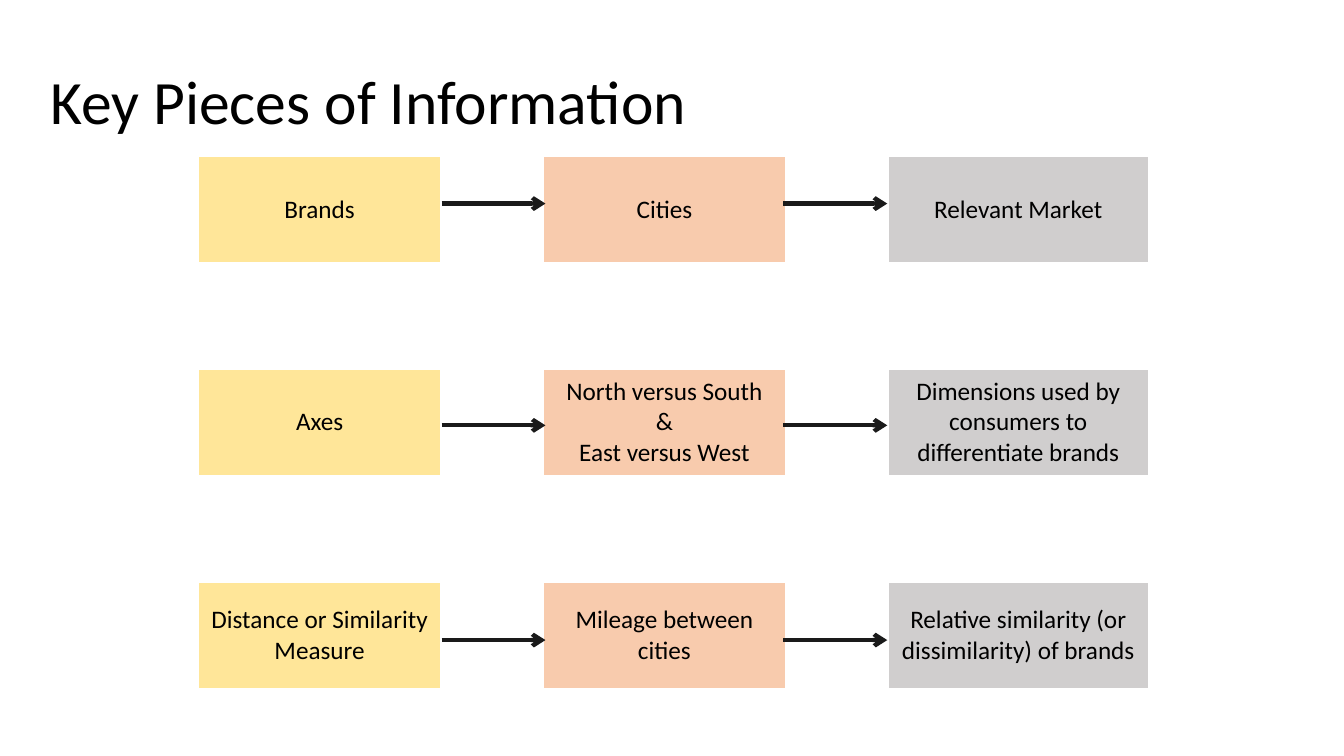
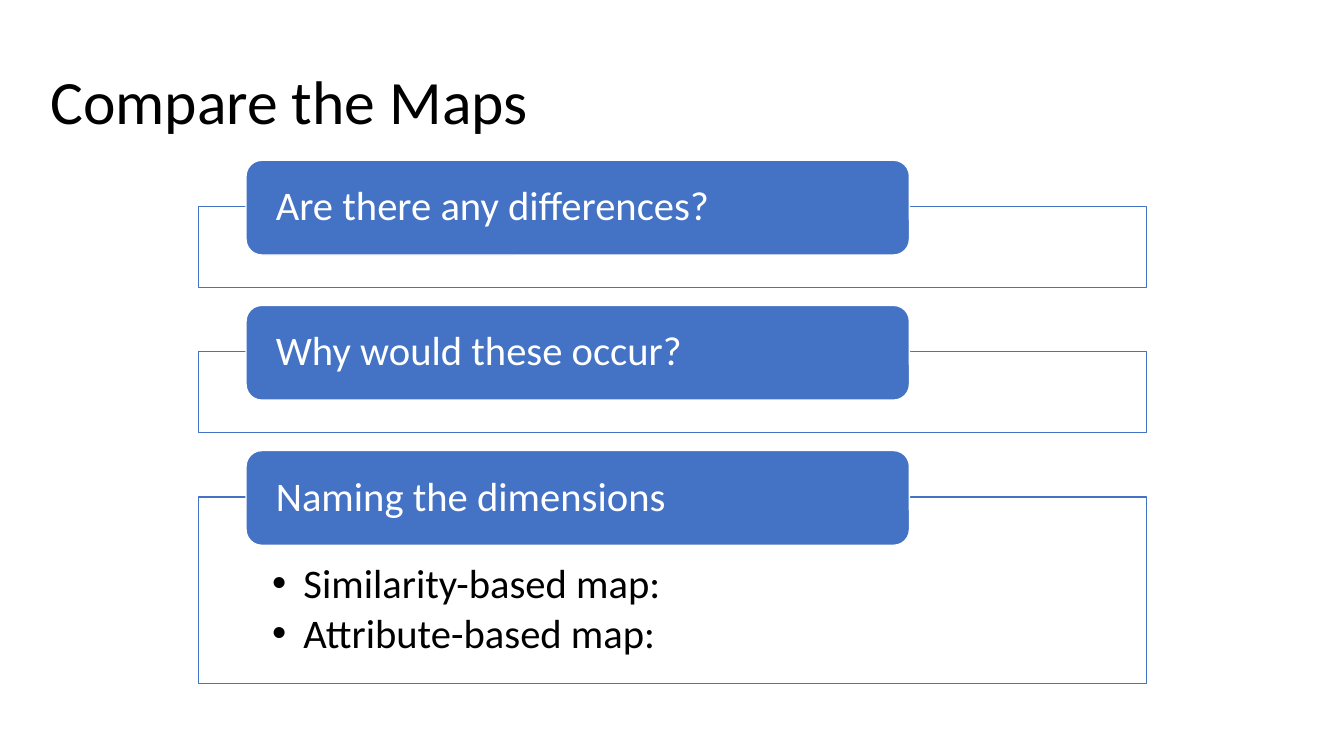
"""Build two slides: a table of key information and a list of map questions."""
from dataclasses import dataclass

from lxml import etree
from pptx import Presentation
from pptx.dml.color import RGBColor
from pptx.enum.shapes import MSO_CONNECTOR, MSO_SHAPE
from pptx.enum.text import MSO_ANCHOR, PP_ALIGN
from pptx.oxml.ns import qn
from pptx.util import Emu, Pt

EMU_PER_PX = 9144
TITLE_ONLY = 5
LEFT, CENTER = PP_ALIGN.LEFT, PP_ALIGN.CENTER
TOP, MIDDLE, BOTTOM = MSO_ANCHOR.TOP, MSO_ANCHOR.MIDDLE, MSO_ANCHOR.BOTTOM
RECT, ROUNDED = MSO_SHAPE.RECTANGLE, MSO_SHAPE.ROUNDED_RECTANGLE
STRAIGHT = MSO_CONNECTOR.STRAIGHT


@dataclass(frozen=True)
class Theme:
    """Colours, font and type sizes of the deck."""
    font: str = "Calibri"
    text: str = "000000"
    white: str = "FFFFFF"
    blue: str = "4472C4"
    arrow: str = "1A1A1A"
    columns: tuple = ("FFE699", "F8CBAD", "D0CECE")
    title_size: int = 44
    list_size: int = 29
    cell_size: int = 18


THEME = Theme()

INFORMATION = (
    ("Brands", "Cities", "Relevant Market"),
    ("Axes", "North versus South\v&\nEast versus West",
     "Dimensions used by consumers to differentiate brands"),
    ("Distance or Similarity Measure", "Mileage between cities",
     "Relative similarity (or dissimilarity) of brands"),
)
QUESTIONS = (
    ("Are there any differences?", 80, ()),
    ("Why would these occur?", 80, ()),
    ("Naming the dimensions", 185,
     ("Similarity-based map:", "Attribute-based map:")),
)


def px(*values):
    """Turn px lengths into a list of EMU lengths."""
    return [Emu(v * EMU_PER_PX) for v in values]


def rgb(value):
    """Turn a hex string into a colour."""
    return RGBColor.from_string(value)


def format_text(tf, size, color, align=LEFT, spacing=1.0):
    """Format every paragraph and run of a text frame."""
    for p in tf.paragraphs:
        p.alignment = align
        p.line_spacing = spacing
        for r in p.runs:
            r.font.name = THEME.font
            r.font.size = Pt(size)
            r.font.color.rgb = rgb(color)


def add_slide(prs, title):
    """Add a title-only slide with the shared title style."""
    slide = prs.slides.add_slide(prs.slide_layouts[TITLE_ONLY])
    sp = slide.shapes.title
    sp.left, sp.top, sp.width, sp.height = px(40, 25, 1253, 117)
    tf = sp.text_frame
    tf.text = title
    tf.vertical_anchor = BOTTOM
    format_text(tf, THEME.title_size, THEME.text, spacing=0.9)
    return slide


def add_box(slide, kind, box, fill, line, margins):
    """Add a filled, outlined shape and return its text frame."""
    sp = slide.shapes.add_shape(kind, *px(*box))
    sp.shadow.inherit = False
    sp.fill.solid()
    sp.fill.fore_color.rgb = rgb(fill)
    sp.line.color.rgb = rgb(line)
    sp.line.width = Pt(1)
    tf = sp.text_frame
    tf.word_wrap = True
    tf.margin_left, tf.margin_top, tf.margin_right, tf.margin_bottom = px(*margins)
    return tf


def add_arrow(slide, x1, x2, y):
    """Add a horizontal arrow pointing right."""
    line = slide.shapes.add_connector(STRAIGHT, *px(x1, y, x2, y))
    line.line.color.rgb = rgb(THEME.arrow)
    line.line.width = Pt(3)
    sp_pr = line._element.spPr
    etree.SubElement(sp_pr.find(qn("a:ln")), qn("a:tailEnd"), type="arrow")
    etree.SubElement(sp_pr, qn("a:effectLst"))


def add_table(slide, rows, box, widths):
    """Add a table whose content alternates with empty rows and columns."""
    n_rows = 2 * len(rows) - 1
    table = slide.shapes.add_table(n_rows, len(widths), *px(*box)).table
    table.first_row = table.horz_banding = False
    for column, width in zip(table.columns, px(*widths)):
        column.width = width
    for row in table.rows:
        row.height = px(box[3])[0] // n_rows
    for cell in table.iter_cells():
        cell.fill.background()
    for i, texts in enumerate(rows):
        for j, text in enumerate(texts):
            cell = table.cell(2 * i, 2 * j)
            cell.fill.solid()
            cell.fill.fore_color.rgb = rgb(THEME.columns[j])
            cell.vertical_anchor = MIDDLE
            cell.text_frame.text = text
            format_text(cell.text_frame, THEME.cell_size, THEME.text, CENTER)


def add_bullets(tf, items):
    """Fill a text frame with bulleted paragraphs."""
    tf.text = "\n".join(items)
    tf.vertical_anchor = TOP
    indent = px(31)[0]
    for p in tf.paragraphs:
        p_pr = p._p.get_or_add_pPr()
        p_pr.set("marL", str(indent))
        p_pr.set("indent", str(-indent))
        etree.SubElement(p_pr, qn("a:buFont"), typeface="Arial")
        etree.SubElement(p_pr, qn("a:buChar"), char="•")
        p.space_after = Pt(4.35)
    format_text(tf, THEME.list_size, THEME.text, spacing=0.9)


def add_question(slide, top, text, height, items):
    """Add a frame with a heading label across its top edge."""
    frame = add_box(slide, RECT, (197, top, 940, height),
                    THEME.white, THEME.blue, (73, 66, 73, 23))
    if items:
        add_bullets(frame, items)
    label = add_box(slide, ROUNDED, (244, top - 46, 658, 94),
                    THEME.blue, THEME.white, (25, 0, 25, 0))
    label.text = text
    label.vertical_anchor = MIDDLE
    format_text(label, THEME.list_size, THEME.white, spacing=0.9)


def build_information(prs):
    """Build the slide that maps brands to cities and markets."""
    slide = add_slide(prs, "Key Pieces of Information")
    add_table(slide, INFORMATION, (197, 155, 942, 528), (240, 102, 240, 102, 258))
    for x in (438, 777):
        for y in (202, 422, 635):
            add_arrow(slide, x, x + 103, y)


def build_questions(prs):
    """Build the slide that lists questions about the maps."""
    slide = add_slide(prs, "Compare the Maps")
    top, gap = 205, 64
    for text, height, items in QUESTIONS:
        add_question(slide, top, text, height, items)
        top += height + gap


def main():
    """Create the deck and save it."""
    prs = Presentation()
    prs.slide_width, prs.slide_height = px(1333, 750)
    build_information(prs)
    build_questions(prs)
    prs.save("out.pptx")


if __name__ == "__main__":
    main()
